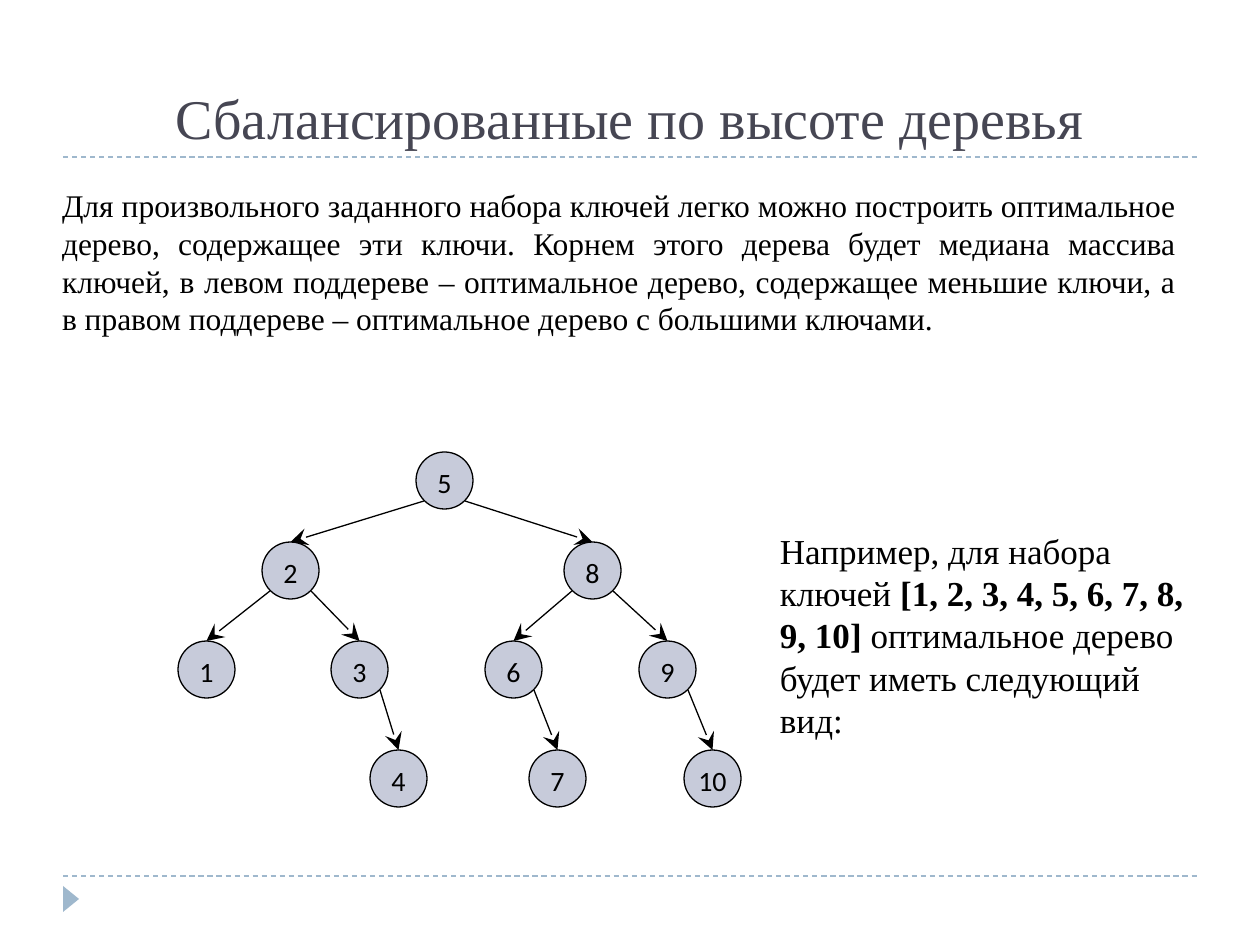
"""Build a slide on height-balanced trees with a ten-key example."""
import pptx
import pptx.util
import pptx.dml.color
import pptx.enum.dml
import pptx.enum.shapes
import pptx.enum.text
import lxml.etree
import pptx.oxml.ns

HUE = {"title": "464653", "text": "000000", "node": "C7CBDA", "rule": "9FB8CD"}
UNIT = 914400 / 126
SIZE = 57
KIND = pptx.enum.shapes.MSO_SHAPE
ALIGN = pptx.enum.text.PP_ALIGN
ANCHOR = pptx.enum.text.MSO_ANCHOR
rgb = pptx.dml.color.RGBColor.from_string


def emu(*nums):
    return [pptx.util.Emu(round(num * UNIT)) for num in nums]


def style(para, name, size, hue, align):
    para.font.name = name
    para.font.size = pptx.util.Pt(size)
    para.font.color.rgb = rgb(HUE[hue])
    para.alignment = align


deck = pptx.Presentation()
deck.slide_width, deck.slide_height = emu(1260, 945)
slide = deck.slides.add_slide(deck.slide_layouts[5])
shapes = slide.shapes

title = shapes.title
title.left, title.top, title.width, title.height = emu(63, 21, 1134, 136)
title.text_frame.text = "Сбалансированные по высоте деревья"
title.text_frame.vertical_anchor = ANCHOR.BOTTOM
style(title.text_frame.paragraphs[0], "Times New Roman", 32, "title", ALIGN.CENTER)

mark = shapes.add_shape(KIND.ISOSCELES_TRIANGLE, *emu(58, 891, 26, 16))
mark.rotation = 90
mark.shadow.inherit = False
mark.fill.solid()
mark.fill.fore_color.rgb = rgb(HUE["rule"])
mark.line.fill.background()

intro = [[(
    "Для произвольного заданного набора ключей легко можно построить оптимальное "
    "дерево, содержащее эти ключи. Корнем этого дерева будет медиана массива ключей, "
    "в левом поддереве – оптимальное дерево, содержащее меньшие ключи, а в правом "
    "поддереве – оптимальное дерево с большими ключами.", False)]]
sample = [
    [("Например, для набора ключей ", False),
     ("[1, 2, 3, 4, 5, 6, 7, 8, 9, 10] ", True),
     ("оптимальное дерево", False)],
    [("будет иметь следующий вид:", False)],
]
for area, paras, size, align in [
    ((49, 178, 1140, 168), intro, 18, ALIGN.JUSTIFY),
    ((767, 522, 444, 227), sample, 20, ALIGN.LEFT),
]:
    frame = shapes.add_textbox(*emu(*area)).text_frame
    frame.word_wrap = True
    frame.margin_left, frame.margin_top, frame.margin_right, frame.margin_bottom = emu(13, 8, 13, 6)
    for num, parts in enumerate(paras):
        para = frame.add_paragraph() if num else frame.paragraphs[0]
        style(para, "Times New Roman", size, "text", align)
        for words, bold in parts:
            run = para.add_run()
            run.text = words
            if bold:
                run.font.bold = True

spots = {
    5: (416, 452), 2: (262, 542), 8: (564, 542),
    1: (178, 641), 3: (331, 641), 6: (485, 641), 9: (639, 641),
    4: (370, 750), 7: (529, 750), 10: (684, 750),
}
nodes = {}
for key, (left, top) in spots.items():
    node = shapes.add_shape(KIND.OVAL, *emu(left, top, SIZE, SIZE))
    node.shadow.inherit = False
    node.fill.solid()
    node.fill.fore_color.rgb = rgb(HUE["node"])
    node.line.color.rgb = rgb(HUE["text"])
    node.line.width = pptx.util.Pt(0.75)
    frame = node.text_frame
    frame.text = str(key)
    frame.word_wrap = False
    frame.vertical_anchor = ANCHOR.MIDDLE
    frame.margin_left, frame.margin_top, frame.margin_right, frame.margin_bottom = emu(13, 9, 13, 6)
    style(frame.paragraphs[0], "Calibri", 16, "text", ALIGN.CENTER)
    nodes[key] = node

lines = [(63, y, 1197, y, None) for y in (157, 876)]
for up, down in [(5, 2), (5, 8), (2, 1), (2, 3), (8, 6), (8, 9), (3, 4), (6, 7), (9, 10)]:
    left, top = spots[up]
    side = 8 if down < up else 49
    end, low = spots[down]
    lines.append((left + side, top + 49, end + SIZE // 2, low, down))

for *ends, down in lines:
    line = shapes.add_connector(pptx.enum.shapes.MSO_CONNECTOR.STRAIGHT, *emu(*ends))
    line.line.width = pptx.util.Pt(0.75)
    line.line.color.rgb = rgb(HUE["text" if down else "rule"])
    if down:
        line.end_connect(nodes[down], 0)
        tail = lxml.etree.SubElement(line.line._get_or_add_ln(), pptx.oxml.ns.qn("a:tailEnd"))
        tail.set("type", "stealth")
        tail.set("w", "lg")
        tail.set("len", "lg")
    else:
        line.line.dash_style = pptx.enum.dml.MSO_LINE.DASH
    lxml.etree.SubElement(line._element.spPr, pptx.oxml.ns.qn("a:effectLst"))

deck.save("out.pptx")
